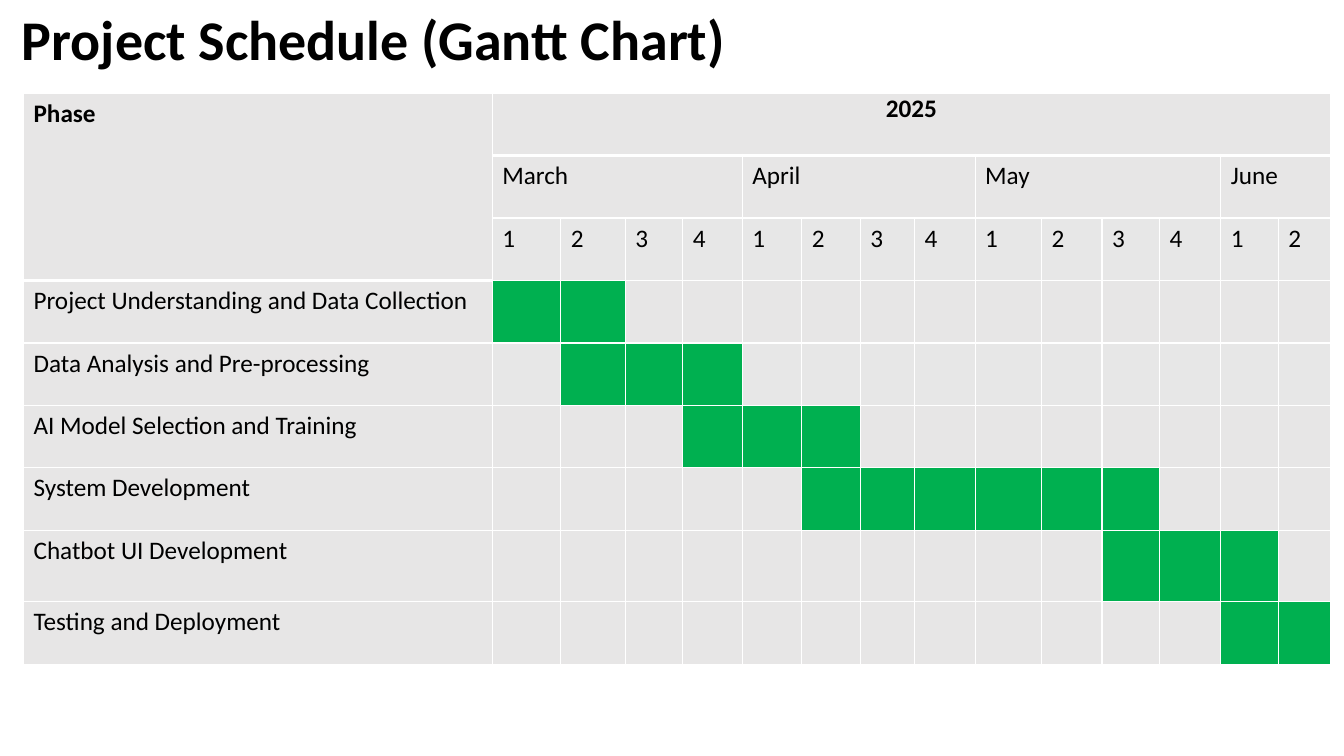
from dataclasses import dataclass

from lxml.etree import SubElement
from pptx import Presentation
from pptx.dml.color import RGBColor
from pptx.enum.text import MSO_ANCHOR, PP_ALIGN
from pptx.oxml.ns import qn
from pptx.table import _Cell
from pptx.text.text import TextFrame
from pptx.util import Pt

GREY, WEEK_GREY, GREEN = "E7E6E6", "E7E7E7", "00B050"
BLACK, WHITE = "000000", "FFFFFF"
FONT = "Calibri"
HEADER_ROWS = 3
PHASE_WIDTH = 334.8
WEEK_WIDTHS = [49, 46.1, 41, 42.5, 42.5, 41.8, 38.9,
               43.2, 47.5, 43.2, 41, 43.9, 41, 37.4]
ROW_HEIGHT = 44.64


@dataclass
class Month:
    name: str
    weeks: int


@dataclass
class Phase:
    name: str
    first: int
    last: int
    height: float = ROW_HEIGHT
    track: str = GREY


MONTHS = [Month("March", 4), Month("April", 4), Month("May", 4), Month("June", 2)]
PHASES = [
    Phase("Project Understanding and Data Collection", 1, 2),
    Phase("Data Analysis and Pre-processing", 2, 4, track=WEEK_GREY),
    Phase("AI Model Selection and Training", 4, 6),
    Phase("System Development", 6, 11),
    Phase("Chatbot UI Development", 11, 13, height=51),
    Phase("Testing and Deployment", 13, 14),
]


def color(value: str) -> RGBColor:
    return RGBColor.from_string(value)


def write(tf: TextFrame, text: str, *, size: float = 18, bold: bool = False,
          align: PP_ALIGN = PP_ALIGN.LEFT, spacing: float = 1.0) -> None:
    p = tf.paragraphs[0]
    p.alignment = align
    p.line_spacing = spacing
    r = p.add_run()
    r.text = text
    r.font.name, r.font.size, r.font.bold = FONT, Pt(size), bold
    r.font.color.rgb = color(BLACK)


def style_cell(cell: _Cell, fill: str, bottom: float = 1) -> None:
    """Give a cell white borders and a solid fill."""
    props = cell._tc.get_or_add_tcPr()
    for side, width in (("L", 1), ("R", 1), ("T", 1), ("B", bottom)):
        line = SubElement(props, qn(f"a:ln{side}"), w=str(Pt(width)))
        SubElement(SubElement(line, qn("a:solidFill")), qn("a:srgbClr"), val=WHITE)
    cell.fill.solid()
    cell.fill.fore_color.rgb = color(fill)


def add_title(s) -> None:
    tf = s.shapes.add_textbox(Pt(8.64), Pt(4), Pt(828), Pt(52)).text_frame
    tf.word_wrap = True
    tf.vertical_anchor = MSO_ANCHOR.MIDDLE
    write(tf, "Project Schedule (Gantt Chart)", size=40, bold=True, spacing=0.9)


def add_schedule(s) -> None:
    widths = [PHASE_WIDTH, *WEEK_WIDTHS]
    heights = [ROW_HEIGHT] * HEADER_ROWS + [phase.height for phase in PHASES]
    table = s.shapes.add_table(len(heights), len(widths), Pt(16.8), Pt(66.5),
                               Pt(sum(widths)), Pt(sum(heights))).table
    table.first_row = table.horz_banding = False
    for column, width in zip(table.columns, widths):
        column.width = Pt(width)
    for row, height in zip(table.rows, heights):
        row.height = Pt(height)

    # Header: phase, year, months and weeks
    for row in range(HEADER_ROWS):
        for col in range(len(widths)):
            fill = WEEK_GREY if row == 2 and col else GREY
            style_cell(table.cell(row, col), fill, 3 if row == 0 or col == 0 else 1)
    corner, year = table.cell(0, 0), table.cell(0, 1)
    corner.merge(table.cell(HEADER_ROWS - 1, 0))
    write(corner.text_frame, "Phase", bold=True)
    year.merge(table.cell(0, len(WEEK_WIDTHS)))
    year.margin_left = year.margin_right = year.margin_top = year.margin_bottom = 0
    write(year.text_frame, "2025", bold=True, align=PP_ALIGN.CENTER)
    start = 1
    for month in MONTHS:
        cell = table.cell(1, start)
        cell.merge(table.cell(1, start + month.weeks - 1))
        write(cell.text_frame, month.name)
        for week in range(month.weeks):
            write(table.cell(2, start + week).text_frame, str(week + 1))
        start += month.weeks

    # Phases with their scheduled weeks
    for row, phase in enumerate(PHASES, HEADER_ROWS):
        style_cell(table.cell(row, 0), GREY)
        write(table.cell(row, 0).text_frame, phase.name)
        for week in range(1, len(widths)):
            active = phase.first <= week <= phase.last
            style_cell(table.cell(row, week), GREEN if active else phase.track)


def main() -> None:
    prs = Presentation()
    prs.slide_width, prs.slide_height = Pt(960), Pt(540)
    s = prs.slides.add_slide(prs.slide_layouts[6])
    add_title(s)
    add_schedule(s)
    prs.save("out.pptx")


if __name__ == "__main__":
    main()
